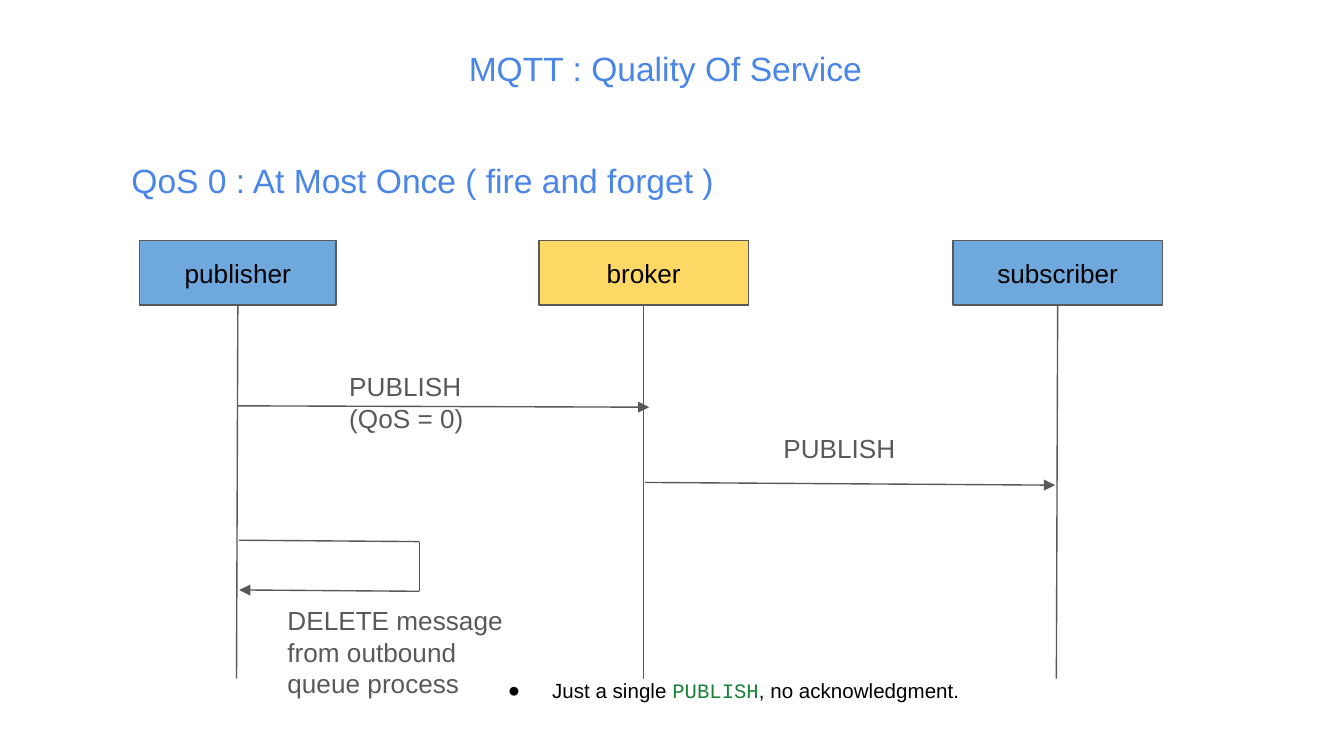
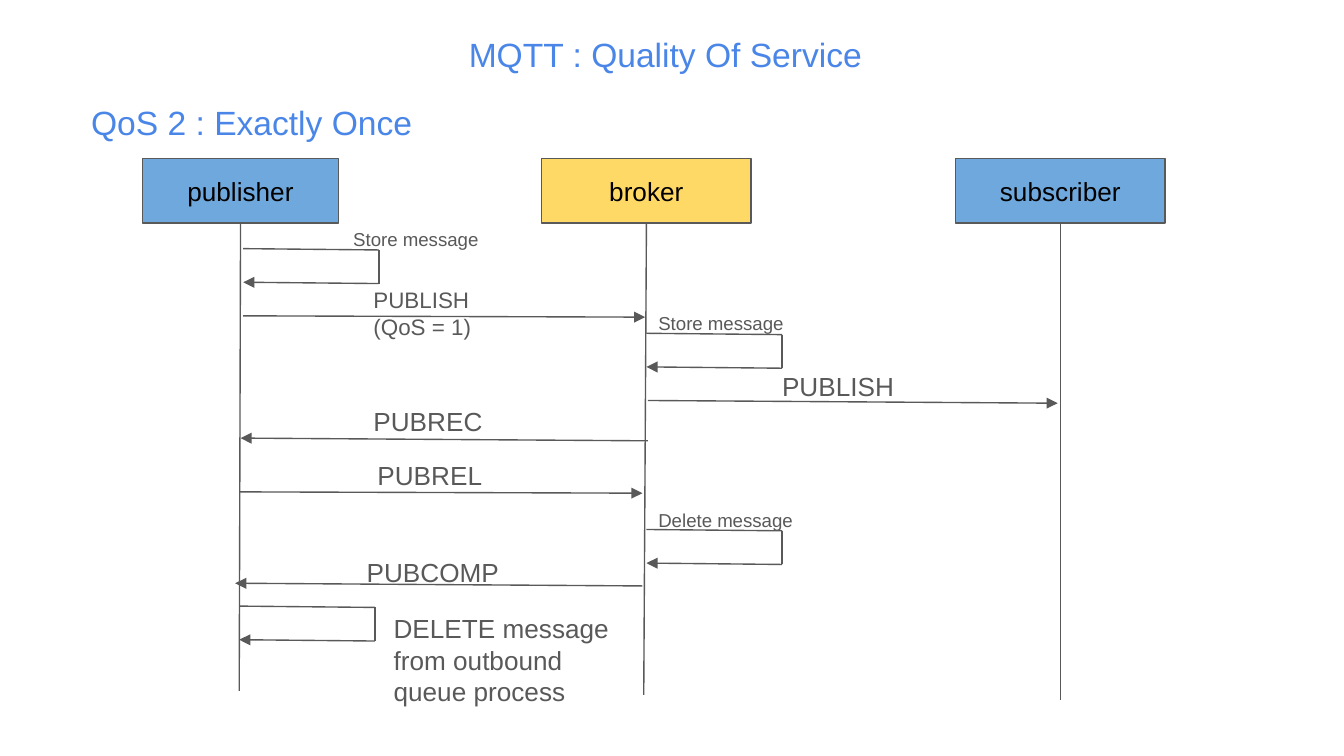
from dataclasses import dataclass

from lxml import etree
from pptx import Presentation
from pptx.dml.color import RGBColor
from pptx.enum.shapes import MSO_CONNECTOR, MSO_SHAPE
from pptx.enum.text import MSO_ANCHOR, PP_ALIGN
from pptx.oxml.ns import qn
from pptx.util import Inches, Pt


@dataclass(frozen=True)
class Theme:
    font: str = "Arial"
    code_font: str = "Courier New"
    heading: str = "4A86E8"
    client: str = "6FA8DC"
    broker: str = "FFD966"
    ink: str = "595959"
    black: str = "000000"
    code: str = "188038"
    heading_size: float = 18
    label_size: float = 14
    compact_size: float = 12
    bullet_size: float = 11
    note_size: float = 10
    line_width: float = 0.75
    inset: float = 0.1


class SequenceDeck:
    def __init__(self, prs, theme):
        self.prs = prs
        self.theme = theme
        self.s = None

    def new_slide(self, title, title_top, subtitle, subtitle_at):
        self.s = self.prs.slides.add_slide(self.prs.slide_layouts[6])
        t = self.theme
        self.text((3.39, title_top, 3.23, 0.44), [title], t.heading_size, t.heading)
        self.text((*subtitle_at, 4.62, 0.44), [subtitle], t.heading_size, t.heading)

    def run(self, p, text, size, color, font=None):
        r = p.add_run()
        r.text = text
        r.font.name = font or self.theme.font
        r.font.size = Pt(size)
        r.font.color.rgb = RGBColor.from_string(color)

    def frame(self, sp, anchor=MSO_ANCHOR.TOP):
        tf = sp.text_frame
        tf.word_wrap = True
        tf.vertical_anchor = anchor
        inset = Inches(self.theme.inset)
        tf.margin_left = tf.margin_right = inset
        tf.margin_top = tf.margin_bottom = inset
        return tf

    def textbox(self, at):
        return self.frame(self.s.shapes.add_textbox(*map(Inches, at)))

    def text(self, at, lines, size, color):
        tf = self.textbox(at)
        for i, line in enumerate(lines):
            p = tf.add_paragraph() if i else tf.paragraphs[0]
            self.run(p, line, size, color)

    def label(self, x, y, *lines, width=1.92, size=None):
        t = self.theme
        self.text((x, y, width, 0.3), lines, size or t.label_size, t.ink)

    def note(self, x, y, text):
        t = self.theme
        self.text((x, y, 1.22, 0.44), [text], t.note_size, t.ink)

    def line(self, start, end, arrow=False):
        ends = map(Inches, (*start, *end))
        cx = self.s.shapes.add_connector(MSO_CONNECTOR.STRAIGHT, *ends)
        cx.line.color.rgb = RGBColor.from_string(self.theme.ink)
        cx.line.width = Pt(self.theme.line_width)
        props = cx._element.spPr
        if arrow:
            etree.SubElement(props.find(qn("a:ln")), qn("a:tailEnd"), type="triangle")
        etree.SubElement(props, qn("a:effectLst"))

    def message(self, start, end):
        self.line(start, end, arrow=True)

    def self_call(self, x, y, width, height):
        right, bottom = x + width, y + height
        self.line((x, y), (right, y + 0.01))
        self.line((right, y + 0.01), (right, bottom))
        self.line((right, bottom), (x, bottom - 0.01), arrow=True)

    def actor(self, name, x, y, width, fill, foot):
        t = self.theme
        height = 0.48
        sp = self.s.shapes.add_shape(
            MSO_SHAPE.RECTANGLE, *map(Inches, (x, y, width, height)))
        sp.shadow.inherit = False
        sp.fill.solid()
        sp.fill.fore_color.rgb = RGBColor.from_string(fill)
        sp.line.color.rgb = RGBColor.from_string(t.ink)
        sp.line.width = Pt(t.line_width)
        p = self.frame(sp, MSO_ANCHOR.MIDDLE).paragraphs[0]
        p.alignment = PP_ALIGN.CENTER
        self.run(p, name, t.label_size, t.black)
        self.line((x + width / 2, y + height), foot)

    def actors(self, x, y, feet):
        t = self.theme
        columns = (("publisher", 0, 1.46, t.client),
                   ("broker", 2.97, 1.56, t.broker),
                   ("subscriber", 6.05, 1.56, t.client))
        for (name, dx, width, fill), foot in zip(columns, feet):
            self.actor(name, x + dx, y, width, fill, foot)

    def bullet(self, at, top_inset, runs):
        t = self.theme
        tf = self.textbox(at)
        tf.margin_top = Inches(top_inset)
        p = tf.paragraphs[0]
        p.line_spacing = 1.15
        props = p._p.get_or_add_pPr()
        props.set("marL", str(Inches(0.5)))
        props.set("indent", str(Inches(-0.33)))
        color = etree.SubElement(props, qn("a:buClr"))
        etree.SubElement(color, qn("a:srgbClr"), val=t.black)
        etree.SubElement(props, qn("a:buSzPts"), val=str(t.bullet_size * 100))
        etree.SubElement(props, qn("a:buFont"), typeface=t.font)
        etree.SubElement(props, qn("a:buChar"), char="●")
        p.font.size = Pt(t.bullet_size)
        for text, color, font in runs:
            self.run(p, text, t.bullet_size, color, font)


TITLE = "MQTT : Quality Of Service"
DELETE = "DELETE message from outbound queue process"


def at_most_once(deck):
    t = deck.theme
    deck.new_slide(TITLE, 0.26, "QoS 0 : At Most Once ( fire and forget )", (0.88, 1.09))
    deck.actors(1.04, 1.79, ((1.76, 5.05), (4.79, 5.05), (7.86, 5.05)))
    deck.message((1.77, 3.02), (4.83, 3.03))
    deck.label(2.5, 2.66, "PUBLISH", "(QoS = 0)")
    deck.message((4.8, 3.59), (7.85, 3.61))
    deck.label(5.73, 3.12, "PUBLISH")
    deck.self_call(1.78, 4.02, 1.34, 0.38)
    deck.label(2.04, 4.4, DELETE)
    deck.bullet((3.51, 4.63, 4.19, 1.07), 0.67, (
        ("Just a single ", t.black, t.font),
        ("PUBLISH", t.code, t.code_font),
        (", no acknowledgment.", t.black, t.font)))


def exactly_once(deck):
    deck.new_slide(TITLE, 0.15, "QoS 2 : Exactly Once", (0.58, 0.66))
    deck.actors(1.06, 1.18, ((1.78, 5.14), (4.79, 5.17), (7.89, 5.21)))
    for start, end in (((1.81, 2.35), (4.8, 2.36)),
                       ((4.82, 2.98), (7.87, 3)),
                       ((4.82, 3.28), (1.79, 3.26)),
                       ((1.78, 3.66), (4.78, 3.67)),
                       ((4.78, 4.36), (1.75, 4.34))):
        deck.message(start, end)
    for x, y in ((1.81, 1.85), (4.81, 2.48), (4.81, 3.94), (1.78, 4.51)):
        deck.self_call(x, y, 1.01, 0.26)
    deck.label(2.68, 2.03, "PUBLISH", "(QoS = 1)", size=deck.theme.compact_size)
    deck.label(5.72, 2.66, "PUBLISH")
    deck.label(2.68, 2.92, "PUBREC", width=1.16)
    deck.label(2.71, 3.32, "PUBREL", width=1.16)
    deck.label(2.63, 4.04, "PUBCOMP", width=1.3)
    deck.label(2.83, 4.46, DELETE)
    deck.note(2.53, 1.61, "Store message")
    deck.note(4.8, 2.24, "Store message")
    deck.note(4.8, 3.7, "Delete message")


def main():
    prs = Presentation()
    prs.slide_width = Inches(10)
    prs.slide_height = Inches(10 * 9 / 16)
    deck = SequenceDeck(prs, Theme())
    at_most_once(deck)
    exactly_once(deck)
    prs.save("out.pptx")


if __name__ == "__main__":
    main()
